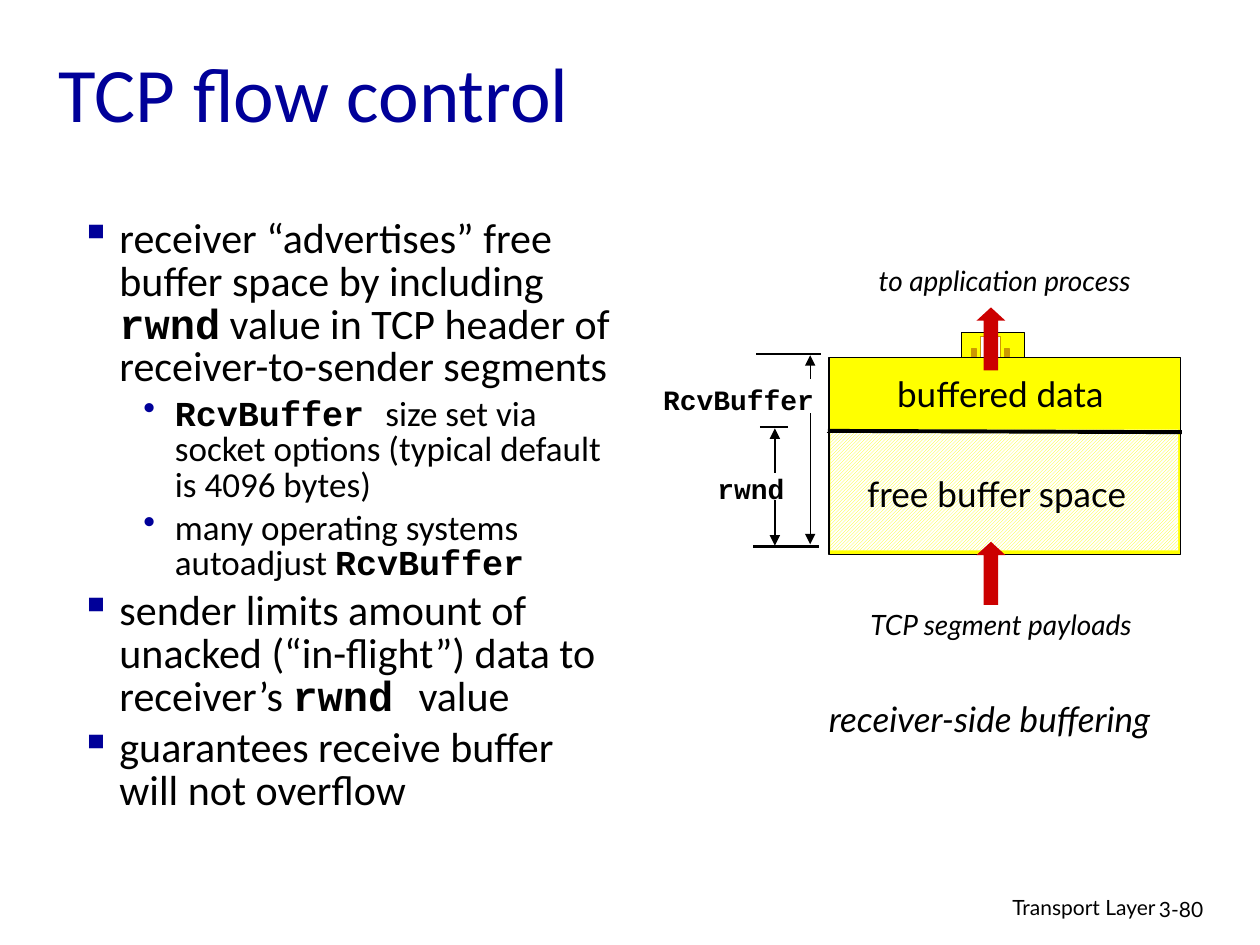
from dataclasses import dataclass
from typing import Optional

import pptx
import pptx.dml.color
import pptx.enum.dml
import pptx.enum.shapes
import pptx.enum.text
import pptx.oxml.ns
import pptx.util
from lxml import etree

PX_PER_INCH = 100
ALIGN = pptx.enum.text.PP_ALIGN
SHAPE = pptx.enum.shapes.MSO_SHAPE


@dataclass(frozen=True)
class Theme:
    ink: str = "000000"
    navy: str = "000099"
    yellow: str = "FFFF00"
    white: str = "FFFFFF"
    gold: str = "CC9900"
    red: str = "CC0000"
    body_font: str = "Calibri"
    label_font: str = "Lato"
    code_font: str = "Courier New"
    title: int = 44
    point: int = 24
    large: int = 20
    small: int = 16
    footer: int = 12
    thin: float = 0.75
    medium: float = 1.5
    thick: float = 2.25


T = Theme()


@dataclass(frozen=True)
class Block:
    x: int
    y: int
    w: int
    h: int
    fill: str
    line: Optional[str] = None
    kind: int = SHAPE.RECTANGLE
    hatched: bool = False


@dataclass(frozen=True)
class Rule:
    x1: int
    y1: int
    x2: int
    y2: int
    width: float = T.thin
    arrow: bool = False


@dataclass(frozen=True)
class Label:
    text: str
    x: int
    y: int
    w: int
    h: int
    size: int
    font: str = T.label_font
    color: str = T.ink
    bold: bool = False
    italic: bool = False
    align: int = ALIGN.CENTER
    wrap: bool = False
    anchor: int = pptx.enum.text.MSO_ANCHOR.TOP


@dataclass(frozen=True)
class Bullet:
    level: int
    runs: tuple[tuple[str, bool], ...]


@dataclass(frozen=True)
class Level:
    char: str
    size: int
    margin: int
    hang: int


LEVELS = (Level("▪", T.point, 31, 31), Level("•", T.large, 75, 25))

BLOCKS = (
    Block(763, 264, 50, 23, T.yellow, T.ink),
    Block(778, 267, 16, 17, T.white, T.gold),
    Block(797, 277, 4, 6, T.gold, T.gold),
    Block(771, 277, 4, 6, T.gold, T.gold),
    Block(658, 284, 279, 156, T.yellow, T.ink),
    Block(775, 244, 23, 50, T.red, kind=SHAPE.UP_ARROW),
    Block(659, 341, 276, 96, T.yellow, hatched=True),
    Block(775, 430, 23, 50, T.red, kind=SHAPE.UP_ARROW),
)

RULES = (
    Rule(656, 343, 937, 343),
    Rule(657, 342, 938, 343, T.thick),
    Rule(615, 340, 615, 375, arrow=True),
    Rule(615, 433, 615, 397, arrow=True),
    Rule(598, 434, 650, 434, T.medium),
    Rule(603, 339, 625, 339, T.medium),
    Rule(600, 281, 652, 281, T.medium),
    Rule(643, 282, 643, 301, arrow=True),
    Rule(643, 432, 643, 328, arrow=True),
)

LABELS = (
    Label("Transport Layer", 610, 705, 317, 31, T.footer, align=ALIGN.RIGHT, wrap=True),
    Label("3-80", 910, 707, 74, 30, T.footer, align=ALIGN.LEFT, wrap=True),
    Label("TCP flow control", 37, 19, 850, 107, T.title, T.body_font, T.navy,
          align=ALIGN.LEFT, wrap=True, anchor=pptx.enum.text.MSO_ANCHOR.MIDDLE),
    Label("buffered data", 701, 291, 186, 43, T.large),
    Label("free buffer space", 677, 370, 228, 43, T.large),
    Label("rwnd", 559, 369, 74, 37, T.small, T.code_font, bold=True),
    Label("RcvBuffer", 516, 299, 140, 37, T.small, T.code_font, bold=True, align=ALIGN.RIGHT),
    Label("TCP segment payloads", 673, 477, 243, 37, T.small, italic=True),
    Label("to application process", 681, 204, 233, 37, T.small, italic=True),
    Label("receiver-side buffering", 638, 549, 295, 43, T.large, italic=True),
)

BULLETS = (
    Bullet(0, (("receiver “advertises” free buffer space by including ", False),
               ("rwnd", True),
               (" value in TCP header of receiver-to-sender segments", False))),
    Bullet(1, (("RcvBuffer ", True),
               ("size set via socket options (typical default is 4096 bytes)", False))),
    Bullet(1, (("many operating systems autoadjust ", False), ("RcvBuffer", True))),
    Bullet(0, (("sender limits amount of unacked (“in-flight”) data to receiver’s ", False),
               ("rwnd ", True), ("value", False))),
    Bullet(0, (("guarantees receive buffer will not overflow", False),)),
)


def px(n: int) -> int:
    return round(n * 914400 / PX_PER_INCH)


def rgb(color: str) -> pptx.dml.color.RGBColor:
    return pptx.dml.color.RGBColor.from_string(color)


def child(parent, tag: str, **attrs: str):
    return etree.SubElement(parent, pptx.oxml.ns.qn(tag), attrs)


def style(r, font: str, size: int, color: str, bold: bool, italic: bool = False) -> None:
    r.font.name, r.font.size = font, pptx.util.Pt(size)
    r.font.bold, r.font.italic = bold, italic
    r.font.color.rgb = rgb(color)


def draw_block(s, b: Block) -> None:
    sp = s.shapes.add_shape(b.kind, px(b.x), px(b.y), px(b.w), px(b.h))
    sp.shadow.inherit = False
    if b.kind == SHAPE.UP_ARROW:
        sp.adjustments[1] = 0.46
    if b.hatched:
        sp.fill.patterned()
        sp.fill.pattern = pptx.enum.dml.MSO_PATTERN.DARK_UPWARD_DIAGONAL
        sp.fill.fore_color.rgb, sp.fill.back_color.rgb = rgb(b.fill), rgb(T.white)
    else:
        sp.fill.solid()
        sp.fill.fore_color.rgb = rgb(b.fill)
    if b.line:
        sp.line.color.rgb, sp.line.width = rgb(b.line), pptx.util.Pt(T.thin)
    else:
        sp.line.fill.background()


def draw_rule(s, c: Rule) -> None:
    sp = s.shapes.add_connector(pptx.enum.shapes.MSO_CONNECTOR.STRAIGHT,
                                px(c.x1), px(c.y1), px(c.x2), px(c.y2))
    sp.line.color.rgb, sp.line.width = rgb(T.ink), pptx.util.Pt(c.width)
    spPr = sp._element.spPr
    if c.arrow:
        child(spPr.get_or_add_ln(), "a:headEnd", type="triangle")
    child(spPr, "a:effectLst")


def draw_label(s, t: Label) -> None:
    tf = s.shapes.add_textbox(px(t.x), px(t.y), px(t.w), px(t.h)).text_frame
    tf.text, tf.word_wrap, tf.vertical_anchor = t.text, t.wrap, t.anchor
    if not t.wrap:
        tf.auto_size = pptx.enum.text.MSO_AUTO_SIZE.SHAPE_TO_FIT_TEXT
    p = tf.paragraphs[0]
    p.alignment = t.align
    style(p.runs[0], t.font, t.size, t.color, t.bold, t.italic)


def draw_bullets(s, x: int, y: int, w: int, h: int) -> None:
    tf = s.shapes.add_textbox(px(x), px(y), px(w), px(h)).text_frame
    tf.word_wrap = True
    for i, b in enumerate(BULLETS):
        p = tf.add_paragraph() if i else tf.paragraphs[0]
        level = LEVELS[b.level]
        pPr = p._p.get_or_add_pPr()
        pPr.set("marL", str(px(level.margin)))
        pPr.set("indent", str(-px(level.hang)))
        child(child(pPr, "a:buClr"), "a:srgbClr", val=T.navy)
        child(pPr, "a:buChar", char=level.char)
        p.level, p.line_spacing = b.level, 0.85
        p.space_before = pptx.util.Pt(level.size * 0.2 if i else 0)
        for text, code in b.runs:
            r = p.add_run()
            r.text = text
            style(r, T.code_font if code else T.body_font, level.size, T.ink, code)


def main() -> None:
    prs = pptx.Presentation()
    prs.slide_width, prs.slide_height = px(1000), px(750)
    s = prs.slides.add_slide(prs.slide_layouts[6])
    for b in BLOCKS:
        draw_block(s, b)
    for c in RULES:
        draw_rule(s, c)
    for t in LABELS:
        draw_label(s, t)
    draw_bullets(s, 54, 169, 443, 537)
    prs.save("out.pptx")


if __name__ == "__main__":
    main()
